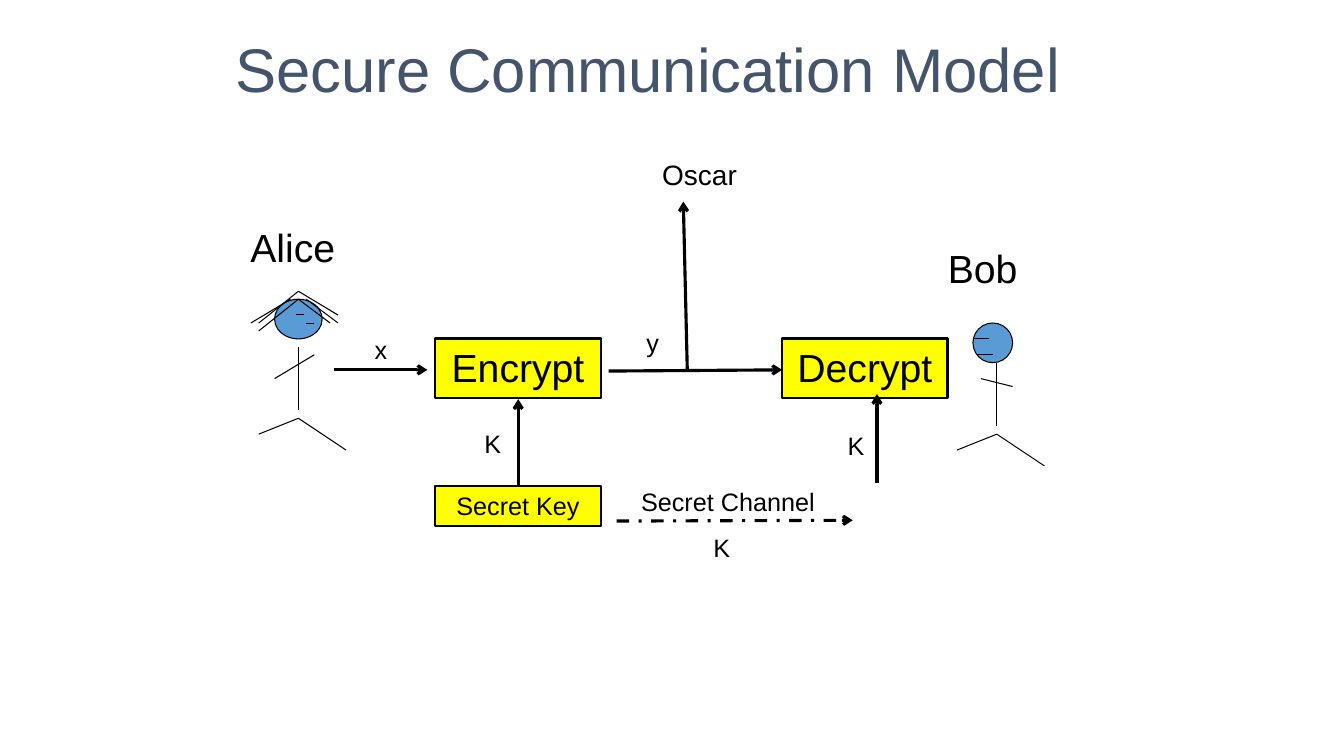
from lxml.etree import SubElement
from pptx import Presentation
from pptx.dml.color import RGBColor
from pptx.enum.dml import MSO_LINE
from pptx.enum.shapes import MSO_CONNECTOR, MSO_SHAPE
from pptx.enum.text import MSO_ANCHOR, PP_ALIGN
from pptx.oxml.ns import qn
from pptx.util import Cm, Pt

COLORS = {"title": "44546A", "ink": "000000", "head": "5B9BD5", "step": "FFFF00"}

# Figure parts in cm from the neck: x1, y1, x2, y2
BODY = [(0, 0, 0, 1.6), (0, 1.8, -1, 2.2), (0, 1.8, 1.2, 2.6)]
ALICE = {
    "name": "Alice ", "name_at": (-2.29, -3.25), "head_size": (1.2, 1), "head_top": -1.2,
    "strokes": [
        (-0.6, 0.8, 0.4, 0.2),
        (-0.2, -1.2, -1.2, -0.6), (0.2, -1.2, 1, -0.6),
        (0, -1.2, 0.8, -0.6), (0, -1.2, -1, -0.4),
        (0, -1.4, 1, -0.8), (0, -1.4, -1, -0.6),
        (-0.05, -0.82, 0.13, -0.82), (0.4, -0.6, 0.2, -0.6),
    ],
}
BOB = {
    "name": "Bob", "name_at": (-2.64, -3.12), "head_size": (1, 1), "head_top": -1,
    "strokes": [(-0.4, 0.4, 0.4, 0.6), (-0.6, -0.6, -0.2, -0.6), (-0.5, -0.2, -0.1, -0.2)],
}

# Flow parts in cm from the top left of the flow
STEPS = [
    ("Encrypt", 2.56, 4.69, 1.5, 28),
    ("Decrypt", 11.3, 4.69, 1.5, 28),
    ("Secret Key", 2.56, 8.4, 1.02, 18),
]
STEP_WIDTH = 4.17
ARROWS = [
    (0, 5.48, 2.36, 5.48),
    (4.65, 8.38, 4.65, 6.22),
    (6.93, 5.51, 11.3, 5.48),
    (8.91, 5.48, 8.81, 1.24),
    (13.69, 8.33, 13.69, 6.09),
]
SECRET_CHANNEL = (7.13, 9.29, 13.08, 9.27)
LABELS = [
    ("x", 0.78, 4.47, PP_ALIGN.LEFT),
    ("y", 7.34, 4.29, PP_ALIGN.CENTER),
    ("K", 3.55, 6.83, PP_ALIGN.LEFT),
    ("K", 12.7, 6.88, PP_ALIGN.LEFT),
    ("K", 9.32, 9.44, PP_ALIGN.LEFT),
]


def color(name):
    return RGBColor.from_string(COLORS[name])


def write(shape, text, size, align=PP_ALIGN.CENTER, anchor=MSO_ANCHOR.TOP, ink="ink"):
    frame = shape.text_frame
    frame.word_wrap = True
    frame.vertical_anchor = anchor
    para = frame.paragraphs[0]
    para.text = text
    para.alignment = align
    para.font.name = "Arial"
    para.font.size = Pt(size)
    para.font.color.rgb = color(ink)


def add_label(slide, text, left, top, width, height, size, **style):
    box = slide.shapes.add_textbox(Cm(left), Cm(top), Cm(width), Cm(height))
    write(box, text, size, **style)


def add_filled(slide, kind, left, top, width, height, fill, line_width):
    shape = slide.shapes.add_shape(kind, Cm(left), Cm(top), Cm(width), Cm(height))
    shape.shadow.inherit = False
    shape.fill.solid()
    shape.fill.fore_color.rgb = color(fill)
    shape.line.color.rgb = color("ink")
    shape.line.width = Pt(line_width)
    return shape


def add_line(slide, origin, ends, width=0.75, dash=None, arrow=False):
    """Draw a line whose ends are measured from the origin."""
    left, top = origin
    x1, y1, x2, y2 = ends
    line = slide.shapes.add_connector(
        MSO_CONNECTOR.STRAIGHT, Cm(left + x1), Cm(top + y1), Cm(left + x2), Cm(top + y2))
    line.line.color.rgb = color("ink")
    line.line.width = Pt(width)
    if dash:
        line.line.dash_style = dash
    if arrow:
        SubElement(line.line._get_or_add_ln(), qn("a:tailEnd"), type="arrow")
    SubElement(line._element.spPr, qn("a:effectLst"))


def add_title(slide, left, top, width, height):
    add_label(slide, "Secure Communication Model", left, top, width, height, 44,
              anchor=MSO_ANCHOR.MIDDLE, ink="title")


def add_person(slide, person, neck):
    """Draw a named stick figure around its neck point."""
    x, y = neck
    add_filled(slide, MSO_SHAPE.OVAL, x - 0.6, y + person["head_top"],
               *person["head_size"], "head", 0.75)
    for stroke in BODY + person["strokes"]:
        add_line(slide, neck, stroke)
    name_x, name_y = person["name_at"]
    add_label(slide, person["name"], x + name_x, y + name_y, 4.57, 1.45, 28)


def add_flow(slide, left, top):
    """Draw the steps, the arrows between them and their labels."""
    for text, x, y, height, size in STEPS:
        step = add_filled(slide, MSO_SHAPE.RECTANGLE, left + x, top + y,
                          STEP_WIDTH, height, "step", 1.5)
        write(step, text, size)
    for ends in ARROWS:
        add_line(slide, (left, top), ends, 2.25, arrow=True)
    add_line(slide, (left, top), SECRET_CHANNEL, 2.25, MSO_LINE.DASH_DOT, arrow=True)
    for text, x, y, align in LABELS:
        add_label(slide, text, left + x, top + y, 1.4, 1.02, 18, align=align)
    add_label(slide, "Secret Channel", left + 6.53, top + 8.28, 6.81, 1.02, 18)
    add_label(slide, "Oscar", left + 7.34, top, 3.76, 1.14, 20)


def main():
    deck = Presentation()
    deck.slide_width, deck.slide_height = Cm(33.87), Cm(19.05)
    page = deck.slides.add_slide(deck.slide_layouts[6])
    add_title(page, 5.54, 0.13, 21.59, 3.18)
    add_person(page, ALICE, (7.52, 8.74))
    add_person(page, BOB, (25.12, 9.14))
    add_flow(page, 8.41, 3.84)
    deck.save("out.pptx")


if __name__ == "__main__":
    main()
